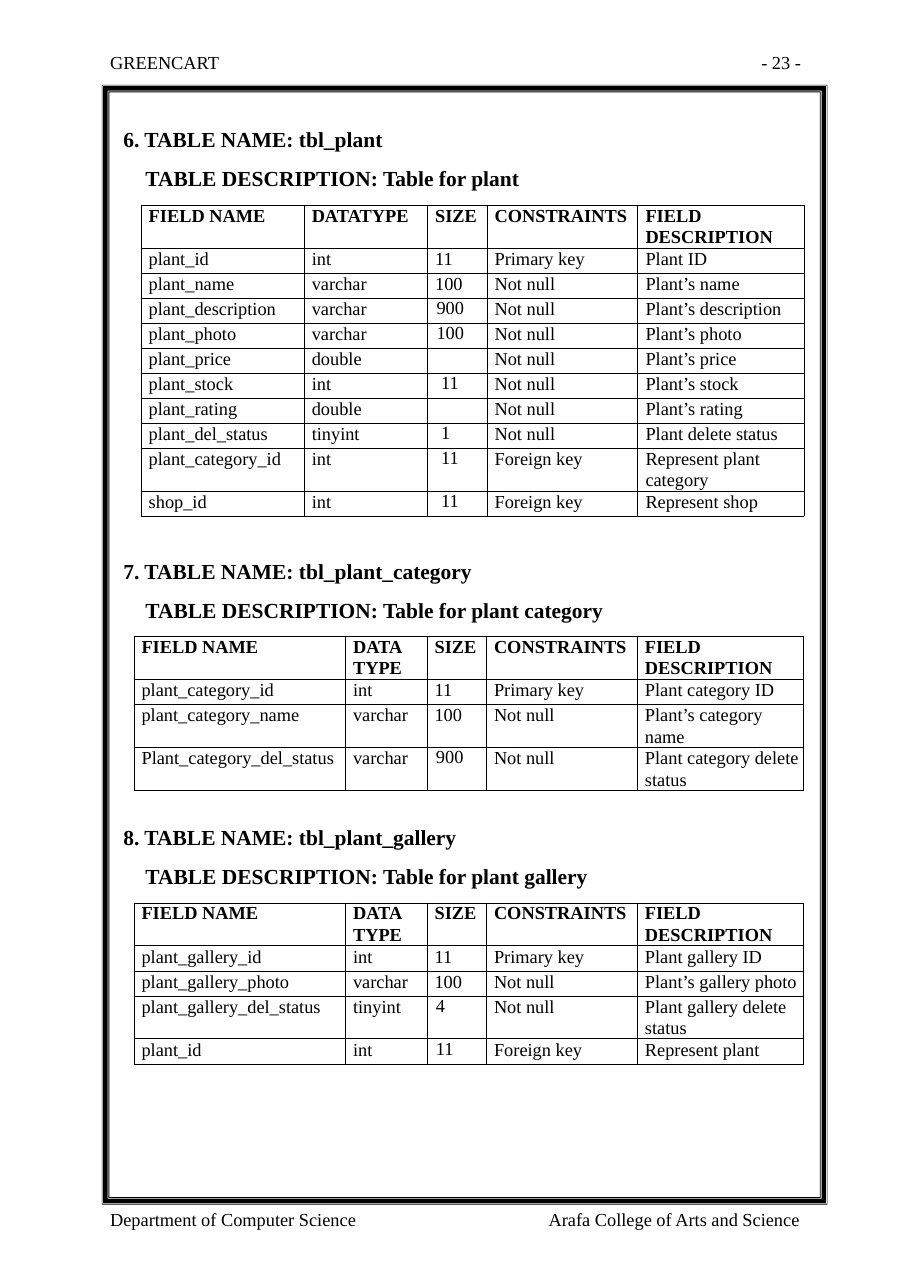
import pptx
import pptx.dml.color
import pptx.oxml
import pptx.oxml.ns
import pptx.util

PX = 2286  # EMU, 400 px to the inch
BLACK = pptx.dml.color.RGBColor(0, 0, 0)
FONT = "Times New Roman"

ROW, TALL = 91, 156
PAD = 28
# Left indents of size values that stand a little further in
NUDGE = {">": 33, ">>": 50}

PLANT = """\
FIELD NAME|DATATYPE|SIZE|CONSTRAINTS|FIELD DESCRIPTION
plant_id|int|11|Primary key|Plant ID
plant_name|varchar|100|Not null|Plant’s name
plant_description|varchar|> 900|Not null|Plant’s description
plant_photo|varchar|> 100|Not null|Plant’s photo
plant_price|double||Not null|Plant’s price
plant_stock|int|>> 11|Not null|Plant’s stock
plant_rating|double||Not null|Plant’s rating
plant_del_status|tinyint|>> 1|Not null|Plant delete status
plant_category_id|int|>> 11|Foreign key|Represent plant category
shop_id|int|>> 11|Foreign key|Represent shop"""

GROUP = """\
FIELD NAME|DATA/TYPE|SIZE|CONSTRAINTS|FIELD DESCRIPTION
plant_category_id|int|11|Primary key|Plant category ID
plant_category_name|varchar|100|Not null|Plant’s category name
Plant_category_del_status|varchar|> 900|Not null|Plant category delete status"""

GALLERY = """\
FIELD NAME|DATA/TYPE|SIZE|CONSTRAINTS|FIELD DESCRIPTION
plant_gallery_id|int|11|Primary key|Plant gallery ID
plant_gallery_photo|varchar|100|Not null|Plant’s gallery photo
plant_gallery_del_status|tinyint|> 4|Not null|Plant gallery delete status
plant_id|int|> 11|Foreign key|Represent plant"""

WIDE = (592, 448, 216, 548, 604)
NARROW = (768, 296, 216, 548, 604)

# Number, name, description, heading top, table left and top, columns, tall rows, fields
PARTS = [
    (6, "tbl_plant", "plant", 404, 512, 744, WIDE, {0, 9}, PLANT),
    (7, "tbl_plant_category", "plant category", 1972, 486, 2311, NARROW, {0, 2, 3}, GROUP),
    (8, "tbl_plant_gallery", "plant gallery", 2938, 486, 3278, NARROW, {0, 3}, GALLERY),
]


def emu(*sizes):
    return [pptx.util.Emu(size * PX) for size in sizes]


def style(para, size, bold=False, indent=0, lead=None):
    para._p.get_or_add_pPr().set("marL", str(indent * PX))
    if lead:
        para.line_spacing = pptx.util.Pt(lead)
    font = para.font
    font.name, font.size, font.bold = FONT, pptx.util.Pt(size), bold
    font.color.rgb = BLACK


def add_text(slide, text, left, top, width, height, inset=0):
    frame = slide.shapes.add_textbox(*emu(left, top, width, height)).text_frame
    frame.word_wrap = True
    frame.margin_left = frame.margin_right = frame.margin_bottom = 0
    frame.margin_top = emu(inset)[0]
    frame.text = text
    return frame.paragraphs


def add_label(slide, text, left, top, width, inset=0, lead=None):
    para = add_text(slide, text, left, top, width, 86, inset)[0]
    style(para, 12, indent=4, lead=lead)


def add_title(slide, number, name, about, top):
    text = f"{number}. TABLE NAME: {name}\nTABLE DESCRIPTION: Table for {about}"
    first, second = add_text(slide, text, 444, top, 2408, 292, 54)
    style(first, 14, True, 4)
    style(second, 14, True, 84)
    second.space_before = pptx.util.Pt(8.6)


def add_edges(cell):
    props = cell._tc.get_or_add_tcPr()
    space = pptx.oxml.ns.nsdecls("a")
    for side in "LRTB":
        props.append(pptx.oxml.parse_xml(
            f'<a:ln{side} {space} w="6350"><a:solidFill><a:srgbClr val="{BLACK}"/>'
            f'</a:solidFill></a:ln{side}>'))


def fill_cell(cell, text, head):
    mark, gap, rest = text.partition(" ")
    shifted = mark in NUDGE
    indent = NUDGE.get(mark, PAD)
    lead = None if shifted else 13.8 if head else 14
    cell.margin_left = cell.margin_right = cell.margin_top = cell.margin_bottom = 0
    cell.text = (rest if shifted else text).replace("/", "\n")
    for para in cell.text_frame.paragraphs:
        style(para, 12, head, indent, lead)
    add_edges(cell)
    cell.fill.background()


def add_fields(slide, left, top, widths, tall, fields):
    """Draw a field table whose first row is the bold heading."""
    rows = [line.split("|") for line in fields.splitlines()]
    heights = [TALL if i in tall else ROW for i in range(len(rows))]
    box = emu(left, top, sum(widths), sum(heights))
    table = slide.shapes.add_table(len(rows), len(widths), *box).table
    table.first_row = table.horz_banding = False
    for column, width in zip(table.columns, emu(*widths)):
        column.width = width
    for i, (row, height) in enumerate(zip(table.rows, emu(*heights))):
        row.height = height
        for cell, text in zip(row.cells, rows[i]):
            fill_cell(cell, text, i == 0)


def add_border(slide, left, top, right, bottom):
    """Draw a thin, a thick and a thin ring as nested outlines."""
    pen = slide.shapes.build_freeform(left, top, scale=PX)
    for inset in (0, 2, 5, 21, 24, 27):
        x, y, far, low = left + inset, top + inset, right - inset, bottom - inset
        if inset:
            pen.move_to(x, y)
        pen.add_line_segments([(far, y), (far, low), (x, low)], close=True)
    ring = pen.convert_to_shape()
    ring.shadow.inherit = False
    ring.fill.solid()
    ring.fill.fore_color.rgb = BLACK
    ring.line.fill.background()


def main():
    deck = pptx.Presentation()
    deck.slide_width, deck.slide_height = emu(3304, 4676)
    slide = deck.slides.add_slide(deck.slide_layouts[6])
    add_label(slide, "GREENCART", 396, 180, 716, inset=5)
    add_label(slide, "- 23 -", 2760, 180, 156, inset=5)
    add_border(slide, 370, 308, 3004, 4373)
    add_label(slide, "Department of Computer Science", 396, 4388, 904, lead=14.1)
    add_label(slide, "Arafa College of Arts and Science", 1988, 4388, 928, lead=14.1)
    for number, name, about, top, left, start, widths, tall, fields in PARTS:
        add_title(slide, number, name, about, top)
        add_fields(slide, left, start, widths, tall, fields)
    deck.save("out.pptx")


if __name__ == "__main__":
    main()
